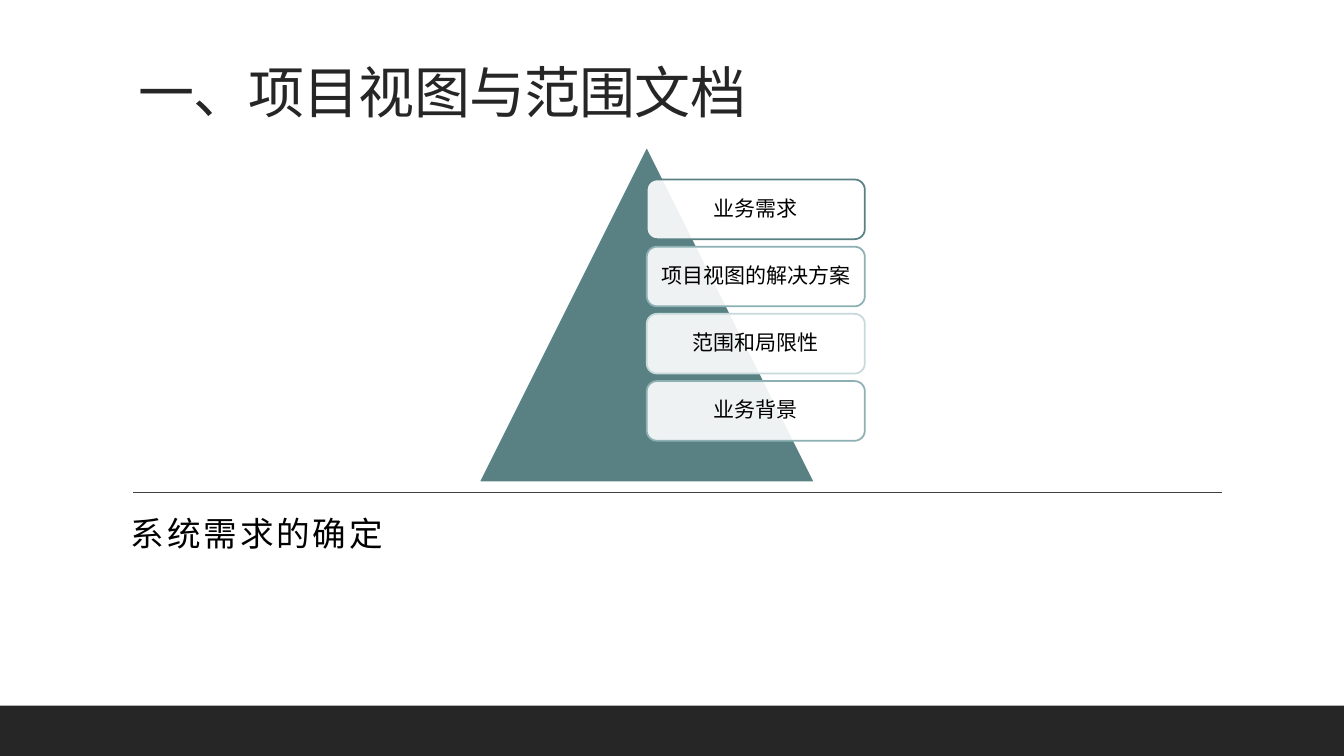
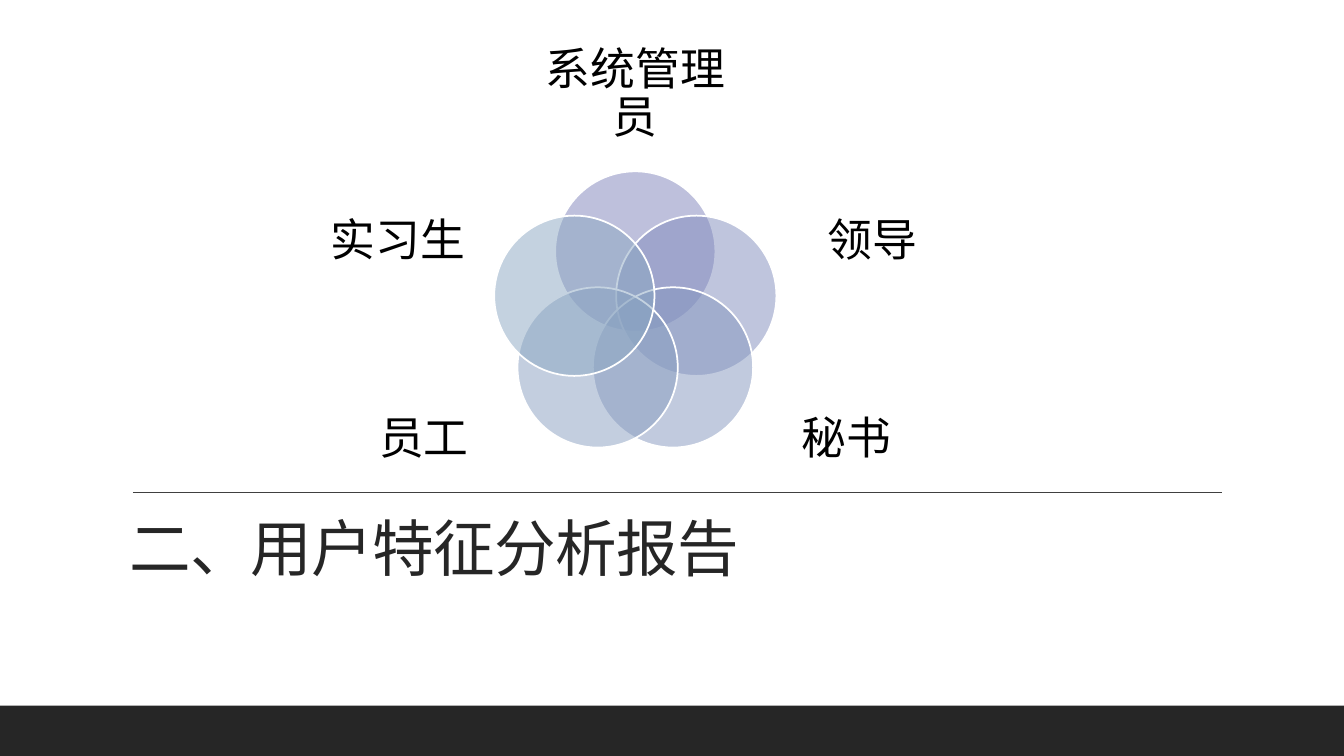
from dataclasses import dataclass
from math import cos, pi, sin

from lxml.etree import SubElement
from pptx import Presentation
from pptx.dml.color import RGBColor as Color
from pptx.enum.shapes import MSO_CONNECTOR as Connector, MSO_SHAPE as Preset
from pptx.enum.text import MSO_ANCHOR as Anchor, MSO_AUTO_SIZE as AutoSize, PP_ALIGN as Align
from pptx.oxml.ns import qn
from pptx.util import Pt


@dataclass(frozen=True)
class Theme:
    font: str = "Calibri"
    white: str = "FFFFFF"
    black: str = "000000"
    dark: str = "262626"
    rule: str = "404040"
    teal: str = "598184"
    mid_teal: str = "8CB0B3"
    pale_teal: str = "C7D9DB"
    petals: tuple = ("7E83BB", "818CBD", "8496BF", "889EC0", "8BA7C2")
    title_size: float = 40
    large_title_size: float = 44
    subtitle_size: float = 24
    card_size: float = 15
    label_size: float = 32
    outline: float = 1.25


class Builder:
    width, height = 960, 540

    def __init__(self, theme):
        self.theme = theme
        self.deck = Presentation()
        self.deck.slide_width = Pt(self.width)
        self.deck.slide_height = Pt(self.height)
        self.page = None

    def add_page(self):
        self.page = self.deck.slides.add_slide(self.deck.slide_layouts[5])
        self.shape(Preset.RECTANGLE, (0, 504, self.width, 36), self.theme.dark)
        self.rule(95, 872.6, 352)

    def rule(self, left, right, top):
        line = self.page.shapes.add_connector(
            Connector.STRAIGHT, Pt(left), Pt(top), Pt(right), Pt(top))
        line.line.color.rgb = Color.from_string(self.theme.rule)
        line.line.width = Pt(1)
        SubElement(line.element.spPr, qn("a:effectLst"))

    def shape(self, preset, bounds, fill, outline=None, opacity=100):
        shape = self.page.shapes.add_shape(preset, *map(Pt, bounds))
        shape.shadow.inherit = False
        shape.fill.solid()
        shape.fill.fore_color.rgb = Color.from_string(fill)
        if opacity < 100:
            color = shape.element.spPr.find(qn("a:solidFill")).find(qn("a:srgbClr"))
            SubElement(color, qn("a:alpha"), val=str(opacity * 1000))
        if outline:
            shape.line.color.rgb = Color.from_string(outline)
            shape.line.width = Pt(self.theme.outline)
        else:
            shape.line.fill.background()
        return shape

    def set_text(self, box, text, size, color, anchor, align=Align.LEFT,
                 inset=(7.2, 3.6), spacing=0.9, tracking=0):
        frame = box.text_frame
        frame.text = text
        frame.word_wrap = True
        frame.auto_size = AutoSize.NONE
        frame.vertical_anchor = anchor
        frame.margin_left = frame.margin_right = Pt(inset[0])
        frame.margin_top = frame.margin_bottom = Pt(inset[1])
        para = frame.paragraphs[0]
        para.alignment = align
        para.line_spacing = spacing
        para.font.name = self.theme.font
        para.font.size = Pt(size)
        para.font.color.rgb = Color.from_string(color)
        if tracking:
            para.font.bold = False
            for properties in box.element.iter(qn("a:defRPr")):
                properties.set("spc", str(int(tracking * 100)))

    def title(self, text, bounds, size):
        box = self.page.shapes.title
        box.left, box.top, box.width, box.height = map(Pt, bounds)
        self.set_text(box, text, size, self.theme.dark, Anchor.BOTTOM, tracking=-0.5)

    def subtitle(self, text, bounds):
        box = self.page.shapes.add_textbox(*map(Pt, bounds))
        self.set_text(box, text, self.theme.subtitle_size, self.theme.black,
                      Anchor.TOP, tracking=2)

    def card(self, text, bounds, outline):
        box = self.shape(Preset.ROUNDED_RECTANGLE, bounds, self.theme.white, outline, 90)
        box.adjustments[0] = 0.17
        self.set_text(box, text, self.theme.card_size, self.theme.black,
                      Anchor.MIDDLE, Align.CENTER, (4.5, 4.5))

    def label(self, text, bounds):
        box = self.page.shapes.add_textbox(*map(Pt, bounds))
        self.set_text(box, text, self.theme.label_size, self.theme.black,
                      Anchor.MIDDLE, Align.CENTER, (0, 0))


def add_scope_page(builder):
    theme = builder.theme
    builder.add_page()
    builder.title("一、项目视图与范围文档", (91.4, 13, 530, 80.6), theme.title_size)
    builder.subtitle("系统需求的确定", (86.4, 365.8, 792, 90))
    builder.shape(Preset.ISOSCELES_TRIANGLE, (342, 104.4, 240, 240), theme.teal, theme.white)
    cards = (("业务需求", theme.teal), ("项目视图的解决方案", theme.mid_teal),
             ("范围和局限性", theme.pale_teal), ("业务背景", theme.mid_teal))
    for row, (text, outline) in enumerate(cards):
        builder.card(text, (462, 128.2 + 48 * row, 155.8, 42.6), outline)


def add_users_page(builder):
    theme = builder.theme
    builder.add_page()
    builder.title("二、用户特征分析报告", (85, 348.5, 470.9, 72.7), theme.large_title_size)
    center_x, center_y, ring, diameter = 453.8, 225.4, 45.8, 114.5
    top_size, side_size = (133.2, 77), (118.8, 83.5)
    labels = (("系统管理员", 0, 29.5, top_size), ("领导", 169.5, 131, side_size),
              ("秘书", 151, 272.9, side_size), ("员工", -151, 272.9, side_size),
              ("实习生", -169.5, 131, side_size))
    for index, (text, offset, top, (width, height)) in enumerate(labels):
        angle = 2 * pi * index / len(labels)
        left = center_x + ring * sin(angle) - diameter / 2
        upper = center_y - ring * cos(angle) - diameter / 2
        builder.shape(Preset.OVAL, (left, upper, diameter, diameter),
                      theme.petals[index], theme.white, 50)
        builder.label(text, (center_x + offset - width / 2, top, width, height))


def main():
    builder = Builder(Theme())
    add_scope_page(builder)
    add_users_page(builder)
    builder.deck.save("out.pptx")


if __name__ == "__main__":
    main()
